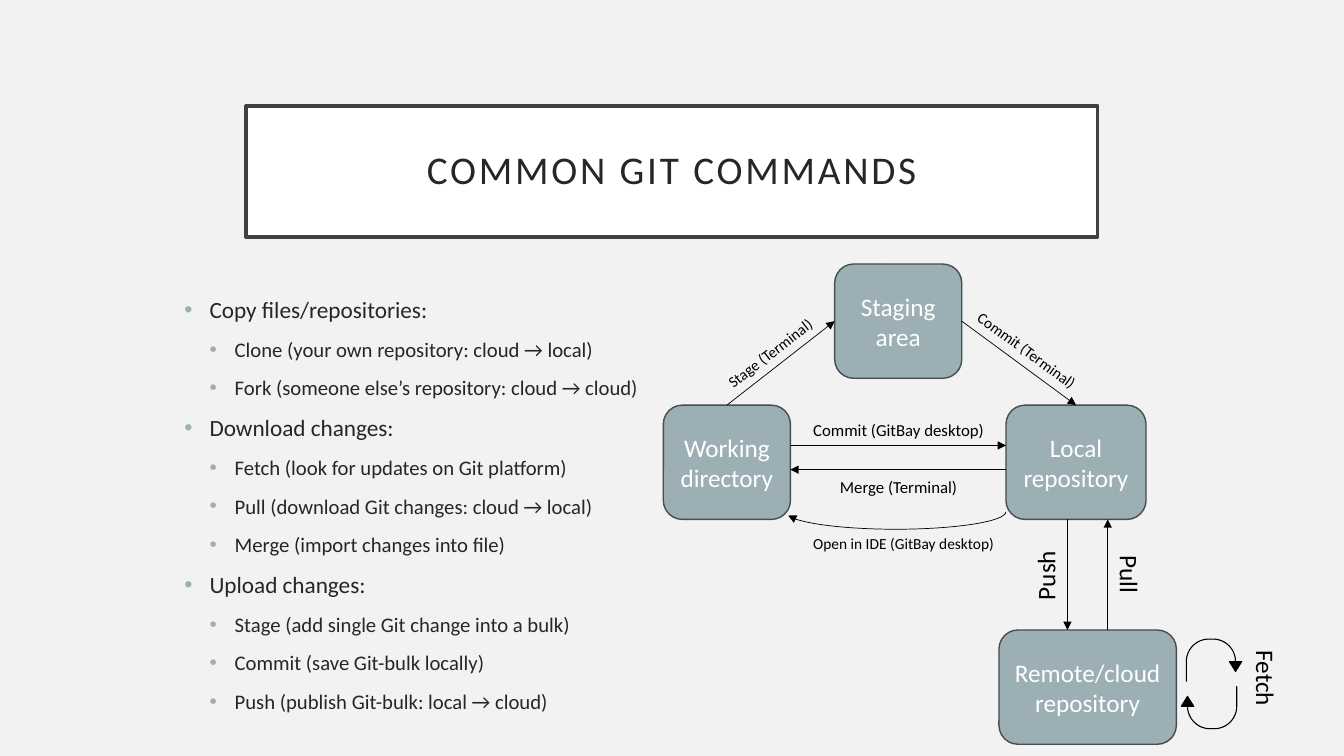
from lxml import etree
from pptx import Presentation
from pptx.dml.color import RGBColor
from pptx.enum import shapes, text
from pptx.oxml import ns
from pptx.util import Pt

KIND = shapes.MSO_SHAPE
GREY, EDGE, DARK, BLACK, WHITE = "9BAFB5", "444D4F", "262626", "000000", "FFFFFF"

POINTS = [
    ("Copy files/repositories:", [
        "Clone (your own repository: cloud → local)",
        "Fork (someone else’s repository: cloud → cloud)"]),
    ("Download changes:", [
        "Fetch (look for updates on Git platform)",
        "Pull (download Git changes: cloud → local)",
        "Merge (import changes into file)"]),
    ("Upload changes:", [
        "Stage (add single Git change into a bulk)",
        "Commit (save Git-bulk locally)",
        "Push (publish Git-bulk: local → cloud)"]),
]


def paint(fmt, color):
    fmt.solid()
    fmt.fore_color.rgb = RGBColor.from_string(color)


def style(para, size, color, align=text.PP_ALIGN.CENTER):
    para.alignment = align
    para.font.name = "Calibri"
    para.font.size = Pt(size)
    para.font.color.rgb = RGBColor.from_string(color)


def child(parent, tag, **attrs):
    return etree.SubElement(parent, ns.qn(tag), attrs)


def shape(slide, kind, box, fill, edge, width):
    item = slide.shapes.add_shape(kind, *map(Pt, box))
    item.shadow.inherit = False
    if fill:
        paint(item.fill, fill)
    else:
        item.fill.background()
    paint(item.line.fill, edge)
    item.line.width = Pt(width)
    return item


def write(item, words, size, color):
    """Put one centred paragraph in a shape."""
    frame = item.text_frame
    frame.word_wrap = True
    frame.text = words
    style(frame.paragraphs[0], size, color)
    return frame


def label(slide, box, words, size, turn=0):
    item = slide.shapes.add_textbox(*map(Pt, box))
    item.rotation = turn
    write(item, words, size, BLACK)


def tip(item):
    """Add an arrowhead at the end of a line."""
    child(item.line._get_or_add_ln(), "a:tailEnd", type="triangle")


def arrow(slide, start, end):
    item = slide.shapes.add_connector(
        shapes.MSO_CONNECTOR.STRAIGHT, *map(Pt, start + end))
    paint(item.line.fill, BLACK)
    item.line.width = Pt(0.5)
    tip(item)
    child(item._element.spPr, "a:effectLst")


def heading(slide, box):
    item = shape(slide, KIND.RECTANGLE, box, WHITE, "404040", 2.5)
    frame = write(item, "COMMON GIT COMMANDS", 28, DARK)
    frame.margin_left = frame.margin_right = Pt(14.4)
    frame.margin_top = frame.margin_bottom = Pt(14.4)
    para = frame.paragraphs[0]
    para.line_spacing = 0.9
    para.runs[0]._r.get_or_add_rPr().set("spc", "200")


def bullets(slide, box):
    frame = slide.shapes.add_textbox(*map(Pt, box)).text_frame
    frame.word_wrap = True
    rows = [row for head, subs in POINTS
            for row in [(head, 0)] + [(sub, 1) for sub in subs]]
    for num, (words, level) in enumerate(rows):
        para = frame.add_paragraph() if num else frame.paragraphs[0]
        para.text = words
        para.level = level
        props = para._p.get_or_add_pPr()
        props.set("marL", str(Pt(18 * (level + 1))))
        props.set("indent", str(-Pt(18)))
        child(child(props, "a:buClr"), "a:srgbClr", val=GREY)
        child(props, "a:buFont", typeface="Arial")
        child(props, "a:buChar", char="•")
        para.space_before = Pt(9.7)
        style(para, 14.8 if level else 16.6, DARK, text.PP_ALIGN.LEFT)


def flow(slide, x, y):
    """Draw the repository diagram with its top left corner at x, y."""
    def at(left, top, *size):
        return (x + left, y + top) + size

    mid, tall = 100.8, 81.6
    low, far = mid + tall, 261.4
    nodes = [
        ("Working directory", 0, mid, 90.8),
        ("Staging area", 122.4, 0, 90.8),
        ("Local repository", 244.8, mid, 100),
        ("Remote/cloud repository", 239.8, far, 126.7),
    ]
    for words, left, top, wide in nodes:
        item = shape(slide, KIND.ROUNDED_RECTANGLE, at(left, top, wide, tall),
                     GREY, EDGE, 1)
        write(item, words, 18, WHITE)

    for start, end in [
        ((90.8, 129.6), (244.8, 129.6)),
        ((244.8, 146.9), (90.8, 146.9)),
        ((45.4, mid), (122.4, tall / 2)),
        ((213.2, tall / 2), (294.8, mid)),
        ((288.7, low), (288.7, far)),
        ((317.5, far), (317.5, low)),
    ]:
        arrow(slide, at(*start), at(*end))

    curve = shape(slide, KIND.ARC, at(87.1, 164.2, 157.7, 25.2), None, BLACK, 0.5)
    curve.adjustments[0], curve.adjustments[1] = 108.07, 214.74
    curve.rotation = 180
    tip(curve)

    for left, top, turn in [(373.6, 267.9, 0), (370, 301.7, 180)]:
        loop = shape(slide, KIND.U_TURN_ARROW, at(left, top, 39.6, 30.2),
                     BLACK, BLACK, 0.75)
        loop.rotation = turn
        for num, value in enumerate([0, 0.147, 0.234, 0.532, 0.766]):
            loop.adjustments[num] = value

    for words, size, turn, box in [
        ("Commit (GitBay desktop)", 12, 0, (91.4, 108, 153.4, 21.6)),
        ("Merge (Terminal)", 12, 0, (91.4, 148.4, 153.4, 21.6)),
        ("Open in IDE (GitBay desktop)", 11, 0, (94.3, 189.4, 154.8, 20.9)),
        ("Stage (Terminal)", 11, 322.2, (30.2, 53.3, 92.2, 20.9)),
        ("Commit (Terminal)", 11, 36.1, (208.8, 51.2, 101.5, 20.9)),
        ("Push", 18, 270, (227.5, 207.4, 92.2, 30.2)),
        ("Pull", 18, 90, (286.5, 206.7, 92.2, 30.2)),
        ("Fetch", 18, 90, (383.7, 280.8, 92.2, 30.2)),
    ]:
        label(slide, at(*box), words, size, turn)


def main():
    deck = Presentation()
    deck.slide_width, deck.slide_height = Pt(960), Pt(540)
    slide = deck.slides.add_slide(deck.slide_layouts[6])
    paint(slide.background.fill, "F2F2F2")
    heading(slide, (175.7, 75.6, 608.4, 93.6))
    bullets(slide, (124.6, 207.4, 348.5, 312.5))
    flow(slide, 473.8, 188.6)
    deck.save("out.pptx")


if __name__ == "__main__":
    main()
